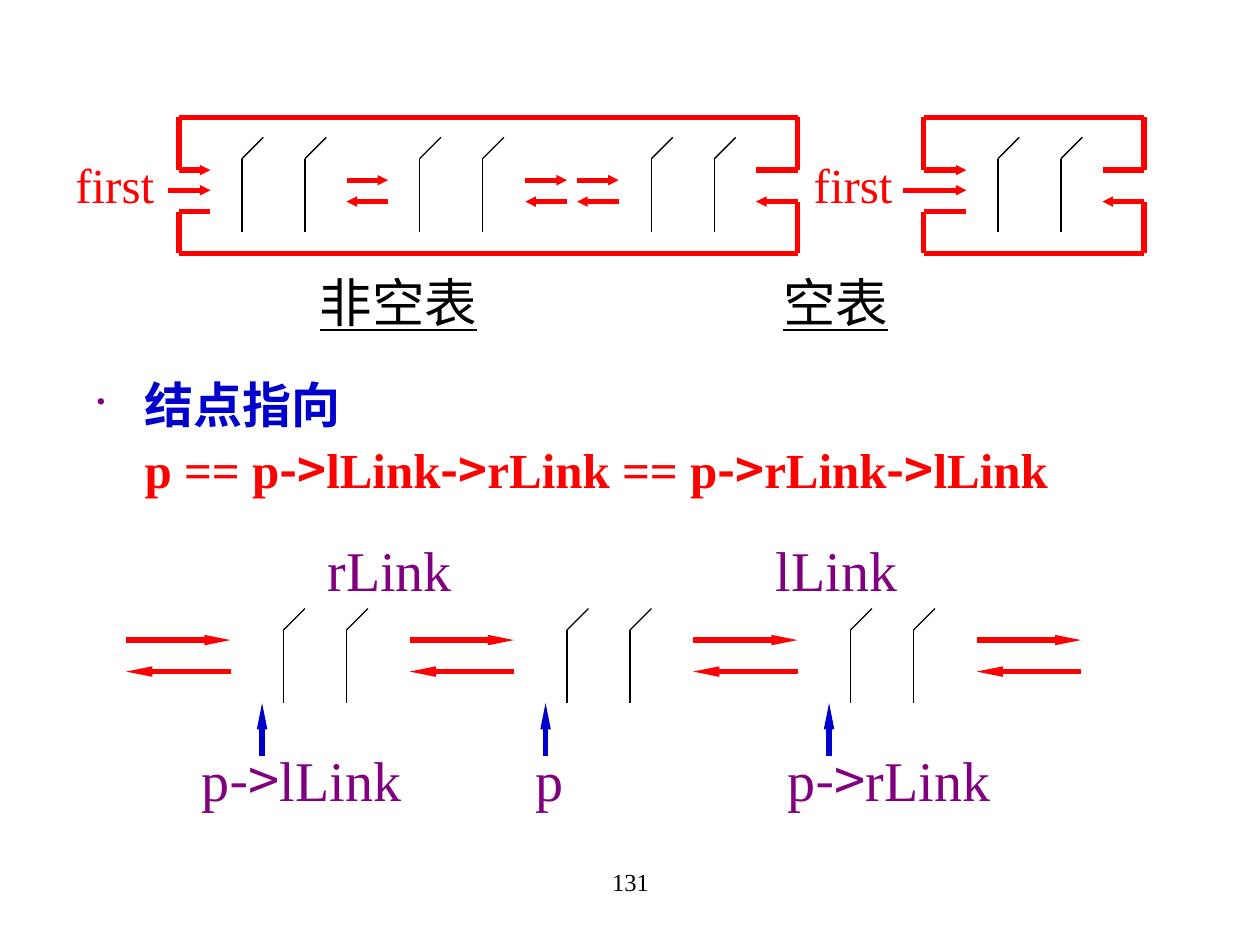
from pptx import Presentation
from pptx.dml.color import RGBColor as RGB
from pptx.enum.shapes import MSO_CONNECTOR as Conn
from pptx.enum.text import PP_ALIGN as Align
from pptx.oxml.ns import qn
from pptx.util import Inches, Pt
from lxml.etree import SubElement as Sub


class Theme:
    black, red = RGB(0, 0, 0), RGB(255, 0, 0)
    blue, plum = RGB(0, 0, 0xCC), RGB(0x80, 0, 0x80)
    roman, han = "Times New Roman", "Noto Sans CJK SC"
    page, body, title, label = 14, 28, 30, 32
    thin, thick = 0.75, 3


def line(home, x1, y1, x2, y2, color=Theme.red, width=Theme.thick, tip=None, size="sm"):
    link = home.shapes.add_connector(Conn.STRAIGHT, *map(Inches, (x1, y1, x2, y2)))
    link.line.color.rgb = color
    link.line.width = Pt(width)
    if tip:
        end = Sub(link.line._get_or_add_ln(), qn(f"a:{tip}End"))
        end.attrib.update({"type": "triangle", "w": "sm", "len": size})
    Sub(link._element.spPr, qn("a:effectLst"))


def write(home, place, size, color, *parts, wrap=False):
    frame = home.shapes.add_textbox(*map(Inches, place)).text_frame
    frame.word_wrap = wrap
    para = frame.paragraphs[0]
    for part in parts:
        if part == "\n":
            para.add_line_break()
            continue
        run = para.add_run()
        run.text = part
        font = run.font
        plain = part.isascii() and part != "->"
        font.name = Theme.roman if plain else Theme.han
        Sub(font._element, qn("a:ea")).set("typeface", Theme.han)
        font.size = Pt(size)
        font.color.rgb = color
    return para


deck = Presentation()
deck.slide_width, deck.slide_height = Inches(10), Inches(7.5)
slide = deck.slides.add_slide(deck.slide_layouts[6])

# Page number
para = write(slide, (3.42, 6.83, 3.17, 0.5), Theme.page, Theme.black, "131", wrap=True)
para.alignment = Align.CENTER

# Rule of the node links
para = write(slide, (0.67, 2.88, 9, 1.33), Theme.body, Theme.red,
             "结点指向", "\n", "p == p", "->", "lLink", "->", "rLink == p",
             "->", "rLink", "->", "lLink", wrap=True)
para.line_spacing = 1.1
props = para._p.get_or_add_pPr()
props.set("marL", str(Inches(0.38)))
props.set("indent", str(-Inches(0.38)))
Sub(Sub(props, qn("a:buClr")), qn("a:srgbClr")).set("val", str(Theme.plum))
Sub(props, qn("a:buSzPct")).set("val", "50000")
Sub(props, qn("a:buChar")).set("char", "•")
for run in para.runs:
    run.font.bold = True
para.runs[0].font.color.rgb = Theme.blue

# Captions of the two lists
para = write(slide, (2.44, 2.09, 6.26, 0.62), Theme.title, Theme.black,
             "非空表", "\t", "空表", wrap=True)
stops = Sub(para._p.get_or_add_pPr(), qn("a:tabLst"))
Sub(stops, qn("a:tab")).attrib.update({"pos": str(Inches(3.68)), "algn": "l"})
for run in para.runs[::2]:
    run.font.underline = True

# Node dividers in both drawings
chain = slide.shapes.add_group_shape()
rings = slide.shapes.add_group_shape()
for home, y, nodes in ((chain, 5, (2.25, 4.5, 6.75)),
                       (rings, 1.26, (1.92, 3.33, 5.17, 7.92))):
    for node in nodes:
        for x in (node, node + 0.5):
            line(home, x, y, x, y + 0.58, Theme.black, Theme.thin)
            line(home, x, y, x + 0.17, y - 0.17, Theme.black, Theme.thin)

# Chain: links, pointers and names
for i in range(4):
    x = 1 + 2.25 * i
    line(chain, x, 5.08, x + 0.83, 5.08, tip="tail", size="lg")
    line(chain, x, 5.33, x + 0.83, 5.33, tip="head", size="lg")
for i in range(3):
    x = 2.08 + 2.25 * i
    line(chain, x, 6, x, 5.58, Theme.blue, tip="tail", size="lg")
for x, y, wide, parts in ((1.5, 5.87, 1.93, ("p", "->", "lLink")),
                          (4.15, 5.87, 0.45, ("p",)),
                          (6.15, 5.87, 2.27, ("p", "->", "rLink")),
                          (2.5, 4.2, 1.31, ("rLink",)),
                          (6.06, 4.2, 1.24, ("lLink",))):
    # The widest box keeps its text at the left
    write(chain, (x, y, wide, 0.63), Theme.label, Theme.plum, *parts, wrap=wide > 2)

# Rings: links between neighbours
for x in (2.75, 4.17, 4.58):
    line(rings, x, 1.43, x + 0.33, 1.43, tip="tail")
    line(rings, x, 1.6, x + 0.33, 1.6, tip="head")

# Rings: outer loops, first pointers and their names
for left, right, entry, start, name in ((1.42, 6.33, 1.67, 1.33, 0.5),
                                        (7.33, 9.08, 7.67, 7.17, 6.36)):
    line(rings, left, 0.93, right, 0.93)
    line(rings, left, 2.01, right, 2.01)
    line(rings, left, 0.93, left, 1.35)
    line(rings, left, 1.68, left, 2.01)
    line(rings, right, 0.93, right, 1.35)
    line(rings, right, 1.6, right, 2.01)
    line(rings, left, 1.35, entry, 1.35, tip="tail")
    line(rings, entry, 1.68, left, 1.68)
    line(rings, right, 1.35, right - 0.33, 1.35)
    line(rings, right - 0.33, 1.6, right, 1.6, tip="head")
    line(rings, start, 1.51, entry, 1.51, tip="tail")
    write(rings, (name, 1.18, 0.89, 0.57), Theme.body, Theme.red, "first")

deck.save("out.pptx")
